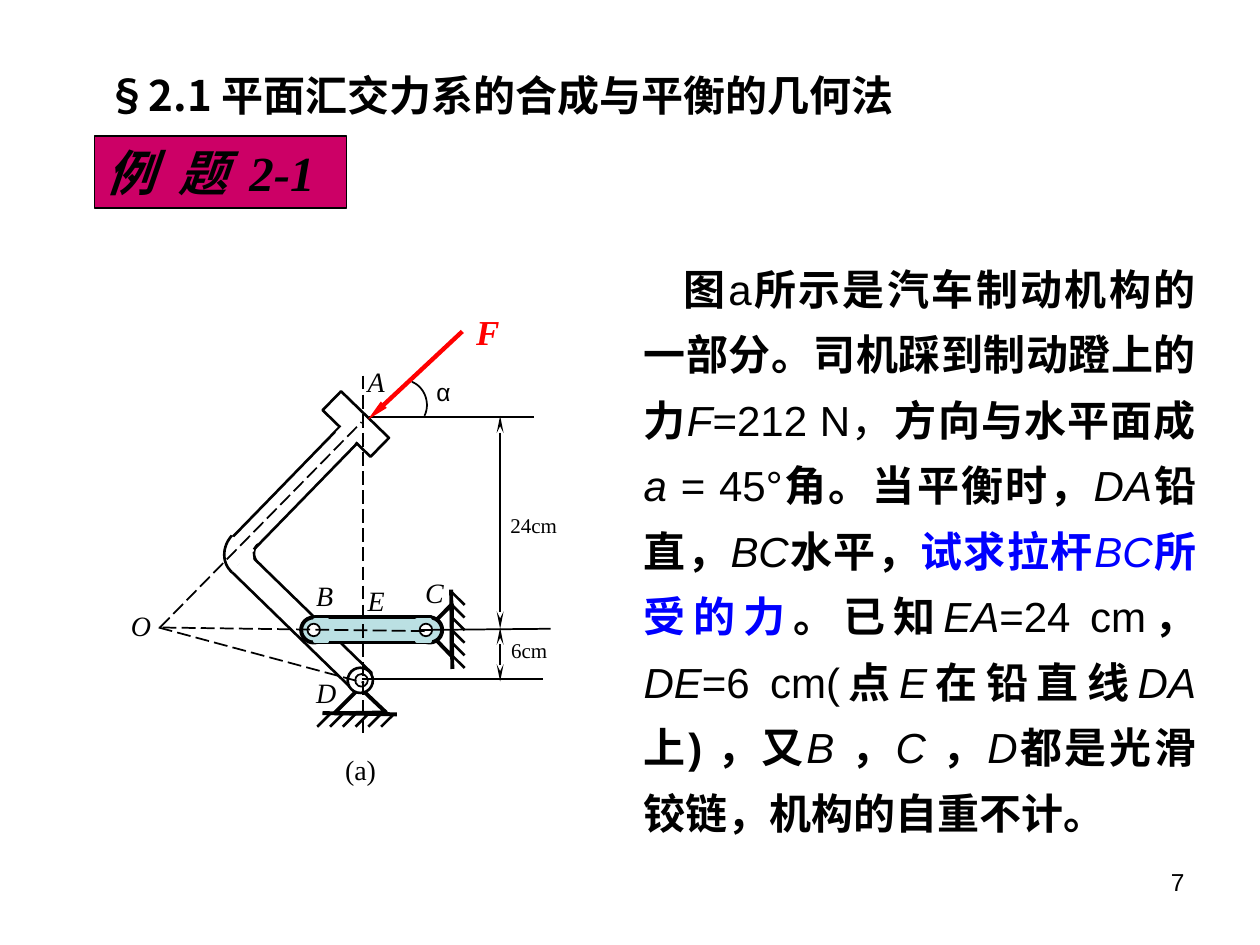
from lxml import etree
from pptx import Presentation
from pptx.dml.color import RGBColor
from pptx.enum.dml import MSO_LINE
from pptx.enum.shapes import MSO_CONNECTOR, MSO_SHAPE
from pptx.enum.text import MSO_ANCHOR, PP_ALIGN
from pptx.oxml.ns import qn
from pptx.util import Pt

RECT, OVAL, TRI = MSO_SHAPE.RECTANGLE, MSO_SHAPE.OVAL, MSO_SHAPE.ISOSCELES_TRIANGLE
LINE, DASH = MSO_CONNECTOR.STRAIGHT, MSO_LINE.LONG_DASH
TOP, MID = MSO_ANCHOR.TOP, MSO_ANCHOR.MIDDLE
LEFT, CENTER, RIGHT = PP_ALIGN.LEFT, PP_ALIGN.CENTER, PP_ALIGN.RIGHT
JUST = PP_ALIGN.JUSTIFY
HAN, SANS, SERIF = "Noto Sans CJK SC", "Arial", "Times New Roman"
HUES = {"ink": "000000", "paper": "FFFFFF", "pin": "F8F8F8", "link": "BBE0E3",
        "force": "FF0000", "ask": "0000FF", "tag": "CC0066"}
STYLES = {"han": (HAN, True, False, "ink"), "thin": (HAN, False, False, "ink"),
          "ask": (HAN, True, False, "ask"), "var": (SANS, False, True, "ink"),
          "askvar": (SANS, False, True, "ask"), "num": (SANS, False, False, "ink"),
          "mark": (SANS, True, False, "ink")}
BODY = [
    ("图", "han"), ("a", "num"), ("所示是汽车制动机构的一部分。司机踩到制动蹬上的力", "han"),
    ("F", "var"), ("=212 N", "num"), ("，", "thin"), ("方向与水平面成", "han"),
    ("a ", "var"), ("= 45°", "num"), ("角。当平衡时，", "han"), ("DA", "var"),
    ("铅直，", "han"), ("BC", "var"), ("水平，", "han"), ("试求拉杆", "ask"),
    ("BC", "askvar"), ("所受的力", "ask"), ("。已知", "han"), ("EA", "var"),
    ("=24 cm", "num"), ("， ", "han"), ("DE", "var"), ("=6 cm(", "num"), ("点", "han"),
    ("E", "var"), ("在铅直线", "han"), ("DA", "var"), ("上", "han"), (")", "mark"),
    (" ，又", "han"), ("B ", "var"), ("，", "han"), ("C ", "var"), ("，", "han"),
    ("D", "var"), ("都是光滑铰链，机构的自重不计。", "han")]


def rgb(hue):
    """Return the named colour."""
    return RGBColor.from_string(HUES[hue])


def style(font, face, size, hue="ink", bold=False, slant=False):
    """Set a font."""
    font.name, font.size, font.bold, font.italic = face, Pt(size), bold, slant
    font.color.rgb = rgb(hue)


def east(run):
    """Give a run its East Asian typeface."""
    etree.SubElement(run._r.get_or_add_rPr(), qn("a:ea")).set("typeface", HAN)


def paint(shape, fill, line, weight):
    """Set fill and line and drop the shadow."""
    shape.shadow.inherit = False
    if fill:
        shape.fill.solid()
        shape.fill.fore_color.rgb = rgb(fill)
    else:
        shape.fill.background()
    if line:
        shape.line.color.rgb = rgb(line)
        shape.line.width = Pt(weight)
    else:
        shape.line.fill.background()


def write(frame, parts, align=LEFT, anchor=TOP, wrap=True):
    """Fill a frame with one paragraph of runs."""
    frame.word_wrap, frame.vertical_anchor = wrap, anchor
    par = frame.paragraphs[0]
    par.alignment = align
    for part in parts:
        par.add_run().text = part
    for run in par.runs:
        east(run)
    return par


def note(slide, box, parts, **how):
    """Add a text box and return its paragraph."""
    return write(slide.shapes.add_textbox(*map(Pt, box)).text_frame, parts, **how)


def head(slide, box):
    """Place the section title."""
    par = note(slide, box, ["§2.1 平面汇交力系的合成与平衡的几何法"])
    style(par.font, HAN, 24, bold=True)


def tag(slide, box):
    """Place the example label."""
    shape = slide.shapes.add_shape(RECT, *map(Pt, box))
    paint(shape, "tag", "ink", 1)
    par = write(shape.text_frame, ["例", " ", "题", " ", "2-1"])
    style(par.font, SERIF, 28, bold=True, slant=True)
    for gap in par.runs[1::2]:
        gap._r.get_or_add_rPr().set("spc", "640")


def body(slide, box):
    """Place the problem statement."""
    par = note(slide, box, [], align=JUST, anchor=MID)
    par.line_spacing = 1.3
    par._p.get_or_add_pPr().set("indent", str(Pt(23)))
    for text, key in BODY:
        run = par.add_run()
        run.text = text
        face, bold, slant, hue = STYLES[key]
        style(run.font, face, 24, hue, bold, slant)
        east(run)


def folio(slide, box):
    """Place the page number."""
    style(note(slide, box, ["7"], align=RIGHT).font, SANS, 14)


def figure(slide, box):
    """Draw the brake linkage."""
    left, top = box[:2]

    def part(kind, x, y, w, h, fill=None, line="ink", weight=1.5, turn=0):
        shape = slide.shapes.add_shape(kind, Pt(left + x), Pt(top + y), Pt(w), Pt(h))
        shape.rotation = turn
        paint(shape, fill, line, weight)

    def rule(x, y, u, v, weight=1, hue="ink", dash=None, start=None, end=None):
        bar = slide.shapes.add_connector(
            LINE, Pt(left + x), Pt(top + y), Pt(left + u), Pt(top + v))
        bar.line.color.rgb, bar.line.width = rgb(hue), Pt(weight)
        if dash:
            bar.line.dash_style = dash
        for name, tip in (("a:headEnd", start), ("a:tailEnd", end)):
            if tip:
                mark = etree.SubElement(bar.line._get_or_add_ln(), qn(name))
                for key, value in (("type", tip), ("w", "sm"), ("len", "lg")):
                    mark.set(key, value)
        etree.SubElement(bar._element.spPr, qn("a:effectLst"))

    def path(spots, closed=False, **look):
        dots = [(Pt(left + x), Pt(top + y)) for x, y in spots]
        pen = slide.shapes.build_freeform(*dots[0])
        pen.add_line_segments(dots[1:], close=closed)
        paint(pen.convert_to_shape(), **look)

    def curve(a, b, c, d, weight, hub=None):
        steps = [i / 16 for i in range(17)]
        spots = [tuple((1 - t) ** 3 * p + 3 * t * (1 - t) ** 2 * q
                       + 3 * t * t * (1 - t) * r + t ** 3 * s
                       for p, q, r, s in zip(a, b, c, d)) for t in steps]
        if hub:
            path(spots + [hub], closed=True, fill="paper", line=None, weight=0)
        path(spots, fill=None, line="ink", weight=weight)

    def ground():
        part(TRI, 131, 223, 29.5, 14.4, weight=2.25, turn=359.1)
        rule(124.3, 237.5, 166.8, 238.2, 2.25)
        for i in range(6):
            x = 128.6 + 7.3 * i
            rule(x, 238, x - 7.3, 245.3, 1.5)

    def lever():
        part(RECT, 101.3, 66.2, 13.7, 88.6, "paper", turn=44.2)
        curve((87.6, 141), (83.3, 144.6), (85.4, 151.1), (89, 152.6), 1.5)
        part(RECT, 104.9, 136, 14.4, 98.6, "paper", turn=314.2)
        curve((72.5, 136), (66.7, 142.5), (66.7, 151.8), (72.5, 156.9), 1.5,
              hub=(83.3, 145.4))
        part(RECT, 135.8, 53.2, 15.1, 38.2, "paper", turn=314.2)
        part(RECT, 135.1, 72.6, 7.2, 12.2, "paper", None, turn=314.2)
        part(OVAL, 138.7, 211.6, 14.4, 14.4, "paper")
        part(OVAL, 76.8, 138.2, 7.2, 19.4, "paper", "paper", 1, 349.5)
        part(RECT, 76.1, 141, 7.2, 7.2, "paper", "paper", 1, 314.2)
        part(OVAL, 143, 215.2, 7.2, 7.2, "pin", weight=1)

    def wall():
        part(TRI, 176.2, 182.8, 29.5, 14.4, weight=2.25, turn=270.5)
        rule(197.8, 167, 198.5, 212.3, 2.25)
        for i in range(6):
            y = 168.4 + 7.2 * i
            rule(198.2, y, 205.5, y + 7.3, 1.5)

    def link():
        part(RECT, 120, 182.8, 66.2, 14.4, "link", weight=2.25)
        for x in (112.1, 178.3):
            part(OVAL, x, 182.8, 14.4, 14.4, "link", weight=2.25)
        for x in (178.3, 120):
            part(RECT, x, 184.2, 7.2, 12.2, "link", "link", 2.25)
        for x in (179.8, 115.7):
            part(OVAL, x, 186.4, 7.2, 7.2, "paper", weight=1)

    def lines():
        for ends in ((31.4, 188.6, 146.6, 71.2), (32.9, 188.6, 184.8, 190.7),
                     (30.7, 188.6, 148.1, 220.2), (147.4, 44.6, 147.4, 249.8)):
            rule(*ends, dash=DASH)
        for ends in ((151, 68.3, 245.3, 68.3), (179.8, 190, 254.6, 189.3),
                     (146.6, 218.1, 250.3, 218.1)):
            rule(*ends)
        for y, v in ((67.6, 189.3), (188.6, 219.5)):
            rule(225.8, y, 225.8, v, start="stealth", end="stealth")
        rule(204.2, 19.4, 150.2, 69.8, 2.5, "force", end="triangle")
        curve((175.4, 48.2), (182.6, 51), (186.2, 60.4), (182.6, 67.6), 1)

    def label(text, x, y, w, h=26.6, face=SERIF, size=16, **look):
        par = note(slide, (left + x, top + y, w, h), [text],
                   align=CENTER, anchor=MID, wrap=False)
        style(par.font, face, size, **look)

    for draw in (ground, lever, wall, link, lines):
        draw()
    label("F", 205, 3.5, 27.4, 31.7, size=20, hue="force", bold=True, slant=True)
    label("α", 179, 41.7, 28.8, 24.5, face=SANS, size=14)
    label("24cm", 215, 119.4, 60, 21.6, size=12)
    label("6cm", 212.4, 190.7, 60, 21.6, size=12)
    label("(a)", 116, 256.2, 60)
    for name, x, y in (("A", 143, 34.5), ("B", 113.5, 156.9), ("C", 175.9, 155.4),
                       ("D", 113.5, 212.3), ("E", 143, 159.8), ("O", 7.7, 174.2)):
        label(name, x, y, 24, slant=True)


def main():
    """Build and save the slide."""
    deck = Presentation()
    deck.slide_width, deck.slide_height = Pt(720), Pt(540)
    slide = deck.slides.add_slide(deck.slide_layouts[6])
    body(slide, (360.7, 169.9, 329.8, 280.8))
    figure(slide, (60, 170, 265, 285))
    tag(slide, (54, 77.8, 144, 41))
    head(slide, (54, 36, 473.8, 64.8))
    folio(slide, (516.2, 491.8, 167.8, 37.4))
    deck.save("out.pptx")


if __name__ == "__main__":
    main()
